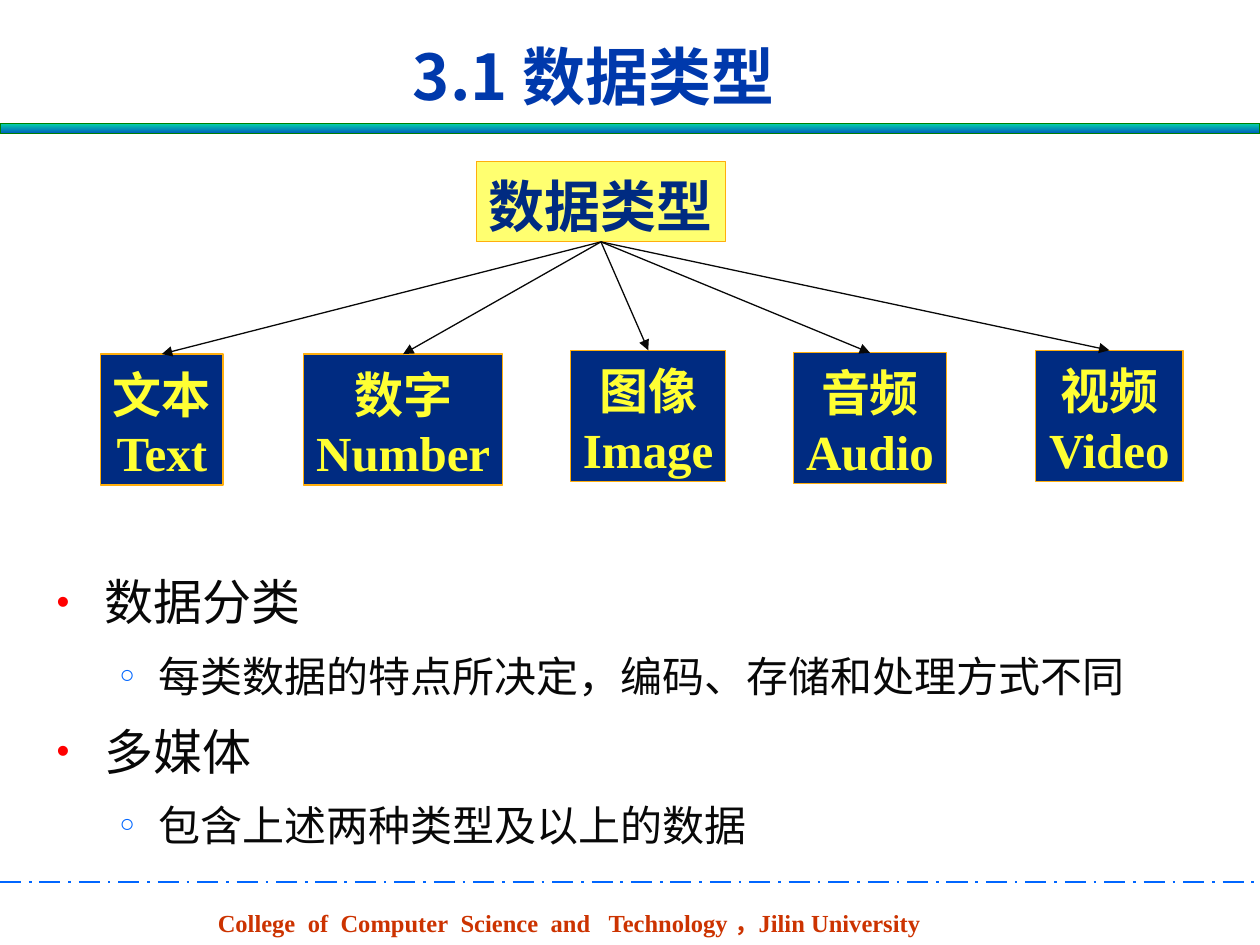
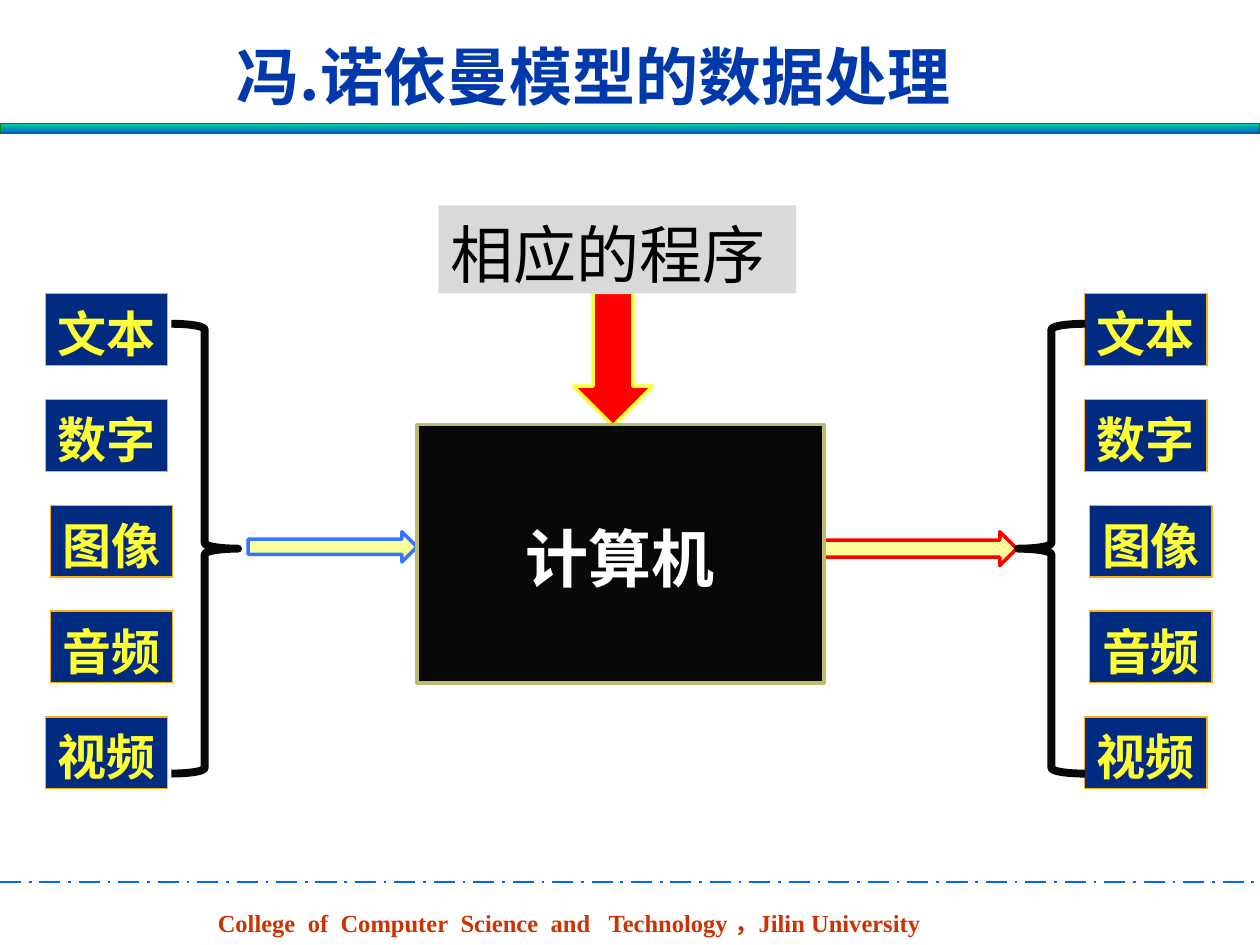
from lxml import etree
from pptx import Presentation
from pptx.dml.color import RGBColor
from pptx.enum.dml import MSO_LINE
from pptx.enum.shapes import MSO_CONNECTOR, MSO_SHAPE
from pptx.enum.text import MSO_ANCHOR, MSO_AUTO_SIZE, PP_ALIGN
from pptx.oxml.ns import qn
from pptx.util import Inches, Pt

COLORS = {
    "title": "0039AC", "footer": "CC3300", "rule": "0066FF",
    "band_top": "03D4A8", "band_bottom": "005CBF", "band_line": "008000",
    "navy": "002B81", "orange": "FFAE0D", "yellow": "FFFF33",
    "root": "FFFF70", "ink": "080808", "black": "000000", "white": "FFFFFF",
    "red": "FF0000", "gray": "D9D9D9", "olive": "BCBC6F",
    "cream": "FFFF99", "blue": "3477FF",
}
SERIF = "Times New Roman"
SANS = "Arial"
CHINESE = "Noto Sans CJK SC"
PROGRAM_FONT = "Noto Sans CJK JP"
LINE_HEIGHT = 1.2
LEFT, CENTER = PP_ALIGN.LEFT, PP_ALIGN.CENTER
TOP, MIDDLE = MSO_ANCHOR.TOP, MSO_ANCHOR.MIDDLE
NO_AUTOFIT = MSO_AUTO_SIZE.NONE
DASH = MSO_LINE.LONG_DASH_DOT
STRAIGHT = MSO_CONNECTOR.STRAIGHT
RECTANGLE, RIGHT_ARROW, DOWN_ARROW = (
    MSO_SHAPE.RECTANGLE, MSO_SHAPE.RIGHT_ARROW, MSO_SHAPE.DOWN_ARROW)
LEFT_BRACE, RIGHT_BRACE = MSO_SHAPE.LEFT_BRACE, MSO_SHAPE.RIGHT_BRACE

FOOTER_WORDS = [("College", 1), ("of", 1), ("Computer", 1), ("Science", 1),
                ("and", 2), ("Technology ，Jilin University", 0)]
SPACE_WIDTH = 3.5
BULLETS = [
    {"mark": "•", "color": "red", "percent": 75, "margin": 0.38,
     "indent": -0.38, "size": 28, "before": 8.8, "after": 3.5},
    {"mark": "○", "color": "rule", "percent": 60, "margin": 0.81,
     "indent": -0.31, "size": 24, "before": 7.5, "after": 3},
]
TYPE_POINTS = [(0, "数据分类"),
               (1, "每类数据的特点所决定，编码、存储和处理方式不同"),
               (0, "多媒体"),
               (1, "包含上述两种类型及以上的数据")]
TYPE_NODES = [("文本", "Text", 0.8, 2.81, 0.97),
              ("数字", "Number", 2.41, 2.81, 1.58),
              ("图像", "Image", 4.53, 2.78, 1.23),
              ("音频", "Audio", 6.3, 2.8, 1.21),
              ("视频", "Video", 8.22, 2.78, 1.17)]


def color(name):
    """Return the named colour."""
    return RGBColor.from_string(COLORS[name])


def place(shape, box):
    """Move a shape to a box of left, top, width and height in inches."""
    shape.left, shape.top, shape.width, shape.height = map(Inches, box)


def prepare_frame(frame, anchor=TOP, wrap=True):
    """Set insets, anchor and wrapping of a text frame."""
    frame.auto_size = NO_AUTOFIT
    frame.word_wrap = wrap
    frame.vertical_anchor = anchor
    frame.margin_left = frame.margin_right = Inches(0.1)
    frame.margin_top, frame.margin_bottom = Inches(0.08), Inches(0.02)


def add_run(paragraph, text, size, font_name, color_name, bold=False):
    """Add one run with Latin and East Asian fonts."""
    run = paragraph.add_run()
    run.text = text
    run.font.size, run.font.bold = Pt(size), bold
    run.font.name = font_name
    run.font.color.rgb = color(color_name)
    east_asian = font_name if font_name == PROGRAM_FONT else CHINESE
    properties = run.font._element
    latin = properties.find(qn("a:latin"))
    font = etree.Element(qn("a:ea"), typeface=east_asian)
    latin.addnext(font)
    return run


def write_lines(frame, lines, size, font_name, color_name, bold=True,
                alignment=CENTER):
    """Write each line as a paragraph in one style."""
    for index, line in enumerate(lines):
        paragraph = frame.add_paragraph() if index else frame.paragraphs[0]
        paragraph.alignment = alignment
        paragraph.line_spacing = Pt(size * LINE_HEIGHT)
        add_run(paragraph, line, size, font_name, color_name, bold)


def add_block(slide, kind, box, fill=None, line=None, weight=0.75):
    """Add a flat preset shape."""
    shape = slide.shapes.add_shape(kind, *map(Inches, box))
    shape.shadow.inherit = False
    if fill:
        shape.fill.solid()
        shape.fill.fore_color.rgb = color(fill)
    else:
        shape.fill.background()
    if line:
        shape.line.color.rgb = color(line)
        shape.line.width = Pt(weight)
    else:
        shape.line.fill.background()
    return shape


def add_line(slide, start, end, color_name, weight):
    """Add a straight connector without shadow."""
    connector = slide.shapes.add_connector(
        STRAIGHT, *map(Inches, (*start, *end)))
    connector.line.color.rgb = color(color_name)
    connector.line.width = Pt(weight)
    etree.SubElement(connector._element.spPr, qn("a:effectLst"))
    return connector


def add_arrow(slide, start, end):
    """Add a thin line ending in a triangle."""
    connector = add_line(slide, start, end, "ink", 0.75)
    outline = connector.line._get_or_add_ln()
    etree.SubElement(outline, qn("a:tailEnd"), type="triangle")


def add_type_box(slide, lines, box):
    """Add a navy box naming a data type."""
    shape = add_block(slide, RECTANGLE, box, "navy", "orange")
    prepare_frame(shape.text_frame, wrap=False)
    write_lines(shape.text_frame, lines, 28, SERIF, "yellow")


def add_band(slide, box):
    """Add the gradient band under the title."""
    band = add_block(slide, RECTANGLE, box, line="band_line")
    band.fill.gradient()
    band.fill.gradient_angle = 270
    for stop, name in zip(band.fill.gradient_stops,
                          ("band_top", "band_bottom")):
        stop.color.rgb = color(name)


def add_footer(slide, box):
    """Add the footer with widened word gaps and the dashed rule above it."""
    left, top, width, height = box
    rule = add_line(slide, (0, top - 0.13), (10, top - 0.13), "rule", 1.5)
    rule.line.dash_style = DASH
    frame = slide.shapes.add_textbox(*map(Inches, box)).text_frame
    prepare_frame(frame, wrap=False)
    paragraph = frame.paragraphs[0]
    paragraph.alignment = LEFT
    paragraph.line_spacing = Pt(14 * LINE_HEIGHT)
    for word, extra_spaces in FOOTER_WORDS:
        add_run(paragraph, word, 14, SERIF, "footer", True)
        if extra_spaces:
            gap = add_run(paragraph, " ", 14, SERIF, "footer", True)
            gap.font._element.set("spc", str(int(extra_spaces * SPACE_WIDTH * 100)))


def add_base_slide(presentation, layout_index, title):
    """Add a slide with title, band and footer."""
    slide = presentation.slides.add_slide(
        presentation.slide_layouts[layout_index])
    place(slide.shapes.title, (1.44, 0.21, 6.54, 0.71))
    frame = slide.shapes.title.text_frame
    prepare_frame(frame, MIDDLE)
    write_lines(frame, [title], 36, CHINESE, "title")
    add_band(slide, (0, 0.98, 10, 0.08))
    add_footer(slide, (1.63, 7.13, 5.92, 0.34))
    return slide


def set_bullet(paragraph, style):
    """Give a paragraph its coloured bullet and indent."""
    properties = paragraph._element.get_or_add_pPr()
    properties.set("marL", str(Inches(style["margin"])))
    properties.set("indent", str(Inches(style["indent"])))
    bullet_color = etree.SubElement(properties, qn("a:buClr"))
    etree.SubElement(bullet_color, qn("a:srgbClr"), val=COLORS[style["color"]])
    etree.SubElement(properties, qn("a:buSzPct"),
                     val=str(style["percent"] * 1000))
    etree.SubElement(properties, qn("a:buFont"), typeface=SANS)
    etree.SubElement(properties, qn("a:buChar"), char=style["mark"])


def fill_body(body, points, box):
    """Fill the body placeholder with a two-level list."""
    place(body, box)
    frame = body.text_frame
    prepare_frame(frame)
    for index, (level, text) in enumerate(points):
        style = BULLETS[level]
        paragraph = frame.add_paragraph() if index else frame.paragraphs[0]
        paragraph.level = level
        set_bullet(paragraph, style)
        paragraph.alignment = LEFT
        paragraph.line_spacing = Pt(style["size"] * LINE_HEIGHT)
        paragraph.space_before = Pt(style["before"] if index else 0)
        paragraph.space_after = Pt(style["after"])
        add_run(paragraph, text, style["size"], SANS, "ink")


def add_type_tree(slide, box):
    """Add the root box, the five type boxes and the arrows between them."""
    left, top, width, height = box
    root = add_block(slide, RECTANGLE, box, "root", "orange")
    prepare_frame(root.text_frame, wrap=False)
    write_lines(root.text_frame, ["数据类型"], 32, SERIF, "navy")
    for chinese, english, node_left, node_top, node_width in TYPE_NODES:
        add_type_box(slide, [chinese, english],
                     (node_left, node_top, node_width, 1.04))
        add_arrow(slide, (left + width / 2, top + height),
                  (node_left + node_width / 2, node_top))


def add_type_column(slide, left, top):
    """Add a column of the five data types."""
    for index, node in enumerate(TYPE_NODES):
        shift = 0.04 if index in (2, 3) else 0
        add_type_box(slide, node[:1],
                     (left + shift, top + index * 0.84, 0.97, 0.57))


def add_computer(slide, box):
    """Add the computer with its program above and arrows on three sides."""
    left, top, width, height = box
    add_block(slide, RIGHT_ARROW, (left - 1.34, top + 0.85, 1.34, 0.24),
              "cream", "blue", 2)
    add_block(slide, RIGHT_ARROW, (left + 3.19, top + 0.85, 1.57, 0.27),
              "cream", "red", 2)
    add_block(slide, DOWN_ARROW, (left + 1.24, top - 1.05, 0.63, 1.06),
              "red", "yellow", 2)
    program = add_block(slide, RECTANGLE,
                        (left + 0.17, top - 1.74, 2.84, 0.7), "gray")
    prepare_frame(program.text_frame)
    write_lines(program.text_frame, ["相应的程序"], 36, PROGRAM_FONT, "black",
                False, LEFT)
    computer = add_block(slide, RECTANGLE, box, "ink", "olive", 2)
    prepare_frame(computer.text_frame, MIDDLE)
    write_lines(computer.text_frame, ["计算机"], 36, SANS, "white")


def build_types_slide(presentation):
    """Build the slide on data types."""
    slide = add_base_slide(presentation, 1, "3.1 数据类型")
    fill_body(slide.placeholders[1], TYPE_POINTS, (0.35, 4.46, 9.34, 2.44))
    add_type_tree(slide, (3.78, 1.28, 1.98, 0.64))


def build_model_slide(presentation):
    """Build the slide on data processing in the model."""
    slide = add_base_slide(presentation, 5, "冯.诺依曼模型的数据处理")
    add_computer(slide, (3.31, 3.37, 3.23, 2.05))
    for column_left, brace, brace_left in ((0.36, RIGHT_BRACE, 1.36),
                                           (8.61, LEFT_BRACE, 8.08)):
        add_type_column(slide, column_left, 2.33)
        add_block(slide, brace, (brace_left, 2.57, 0.53, 3.57),
                  line="ink", weight=4.5)


def main():
    """Build and save the presentation."""
    presentation = Presentation()
    presentation.slide_width = Inches(10)
    presentation.slide_height = Inches(7.5)
    build_types_slide(presentation)
    build_model_slide(presentation)
    presentation.save("out.pptx")


if __name__ == "__main__":
    main()
